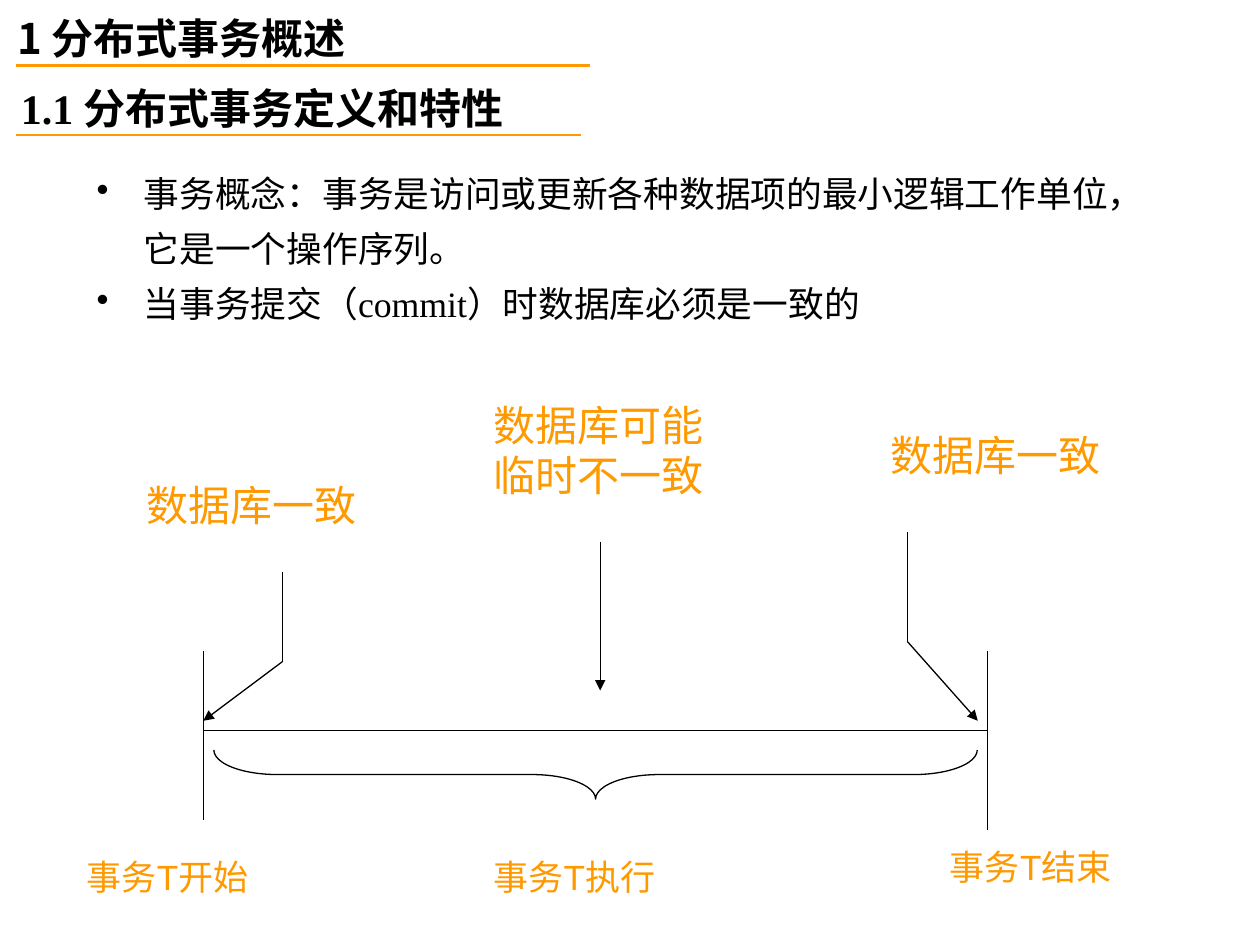
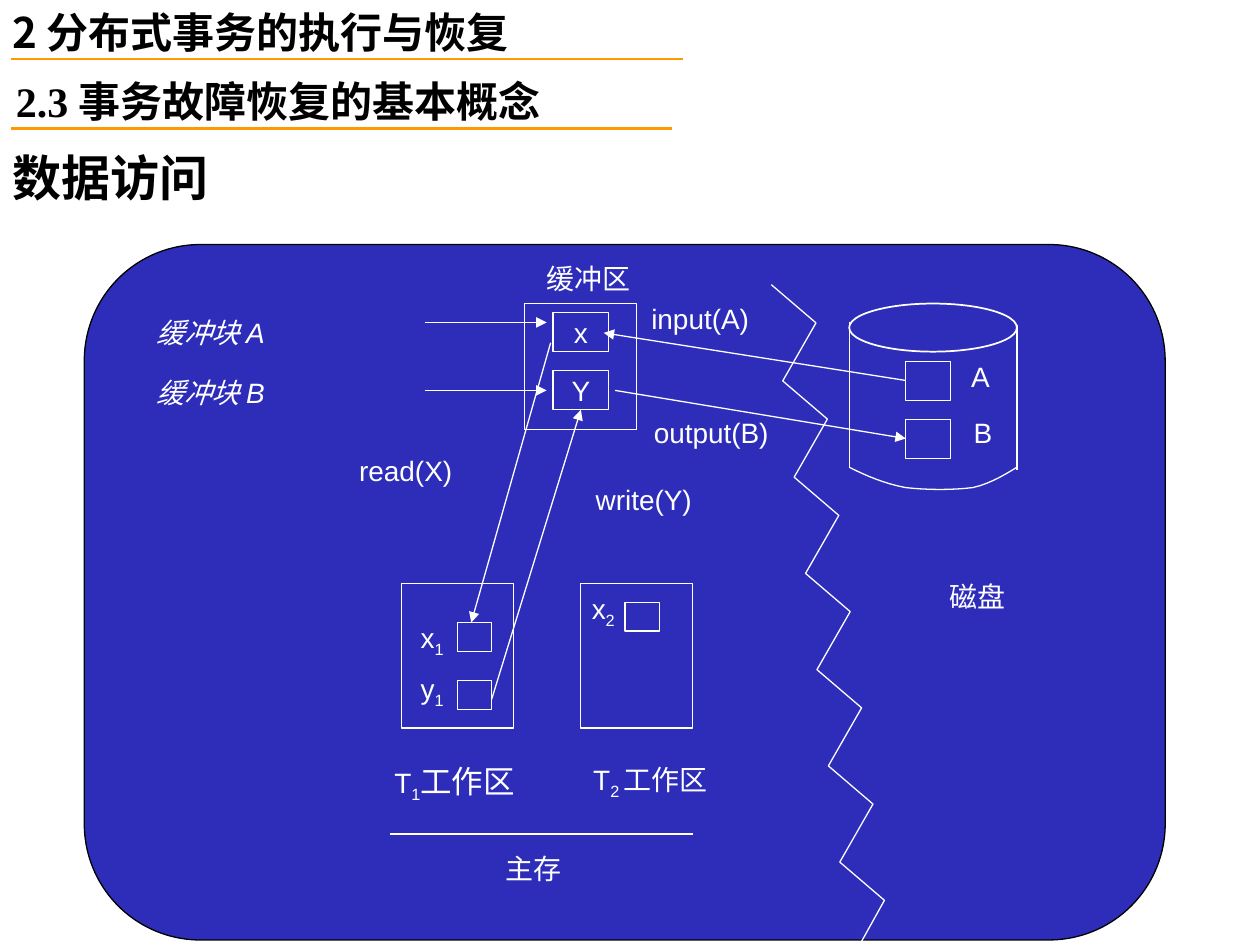
from lxml.etree import SubElement
from pptx import Presentation
from pptx.dml.color import RGBColor
from pptx.enum.shapes import MSO_CONNECTOR, MSO_SHAPE
from pptx.enum.text import MSO_ANCHOR, PP_ALIGN
from pptx.oxml.ns import qn
from pptx.util import Cm, Pt

BLACK = RGBColor(0x00, 0x00, 0x00)
WHITE = RGBColor(0xFF, 0xFF, 0xFF)
ORANGE = RGBColor(0xFF, 0x99, 0x00)
BLUE = RGBColor(0x2D, 0x2D, 0xB9)
ARIAL, TIMES, NOTO = "Arial", "Times New Roman", "Noto Sans CJK SC"
TITLE_ONLY = 5


def add_run(p, text, font=ARIAL, size=16, color=BLACK, bold=False, italic=False, sub=False):
    r = p.add_run()
    r.text = text
    f = r.font
    f.name, f.size, f.bold, f.italic = font, Pt(size), bold, italic
    f.color.rgb = color
    rPr = r._r.get_or_add_rPr()
    SubElement(rPr, qn("a:ea"), typeface=NOTO)
    if sub:
        rPr.set("baseline", "-25000")


def curve(p0, p1, p2, p3, steps=8):
    """Points along a cubic curve, without its start."""
    points = []
    for i in range(1, steps + 1):
        t = i / steps
        u = 1 - t
        points.append(tuple(u**3 * a + 3 * u * u * t * b + 3 * u * t * t * c + t**3 * d
                            for a, b, c, d in zip(p0, p1, p2, p3)))
    return points


class Deck:
    def __init__(self):
        self.prs = Presentation()
        self.prs.slide_width, self.prs.slide_height = Cm(25.4), Cm(19.05)
        self.ink = BLACK

    def new_slide(self):
        self.s = self.prs.slides.add_slide(self.prs.slide_layouts[TITLE_ONLY])

    def box(self, left, top, width, height, title=False, anchor=MSO_ANCHOR.TOP):
        """Text frame of the title placeholder or of a new text box."""
        place = Cm(left), Cm(top), Cm(width), Cm(height)
        if title:
            sp = self.s.shapes.title
            sp.left, sp.top, sp.width, sp.height = place
        else:
            sp = self.s.shapes.add_textbox(*place)
        tf = sp.text_frame
        tf.word_wrap, tf.vertical_anchor = True, anchor
        tf.margin_left = tf.margin_right = Cm(0.25)
        tf.margin_top = tf.margin_bottom = Cm(0.13)
        return tf

    def text(self, left, top, width, height, *pieces, title=False,
             anchor=MSO_ANCHOR.TOP, size=16, **style):
        """One paragraph; a piece is a string or a (string, format) pair."""
        p = self.box(left, top, width, height, title, anchor).paragraphs[0]
        p.alignment, p.line_spacing = PP_ALIGN.LEFT, Pt(1.2 * size)
        for piece in pieces:
            words, extra = (piece, {}) if isinstance(piece, str) else piece
            add_run(p, words, **{"size": size, "color": self.ink, **style, **extra})

    def label(self, left, top, width, *pieces, **style):
        self.text(left, top, width, 0.94, *pieces, **style)

    def bullets(self, left, top, width, height, items, size, pitch):
        tf = self.box(left, top, width, height)
        for i, item in enumerate(items):
            p = tf.add_paragraph() if i else tf.paragraphs[0]
            p.line_spacing = Pt(pitch)
            pPr = p._p.get_or_add_pPr()
            pPr.set("marL", str(Cm(0.95)))
            pPr.set("indent", str(-Cm(0.95)))
            SubElement(pPr, qn("a:buChar"), char="•")
            add_run(p, item, font=TIMES, size=size)

    def line(self, x1, y1, x2, y2, arrow=False, color=None, weight=0.75):
        c = self.s.shapes.add_connector(MSO_CONNECTOR.STRAIGHT, Cm(x1), Cm(y1), Cm(x2), Cm(y2))
        c.line.color.rgb, c.line.width = color or self.ink, Pt(weight)
        if arrow:
            SubElement(c.line._get_or_add_ln(), qn("a:tailEnd"), type="triangle")
        SubElement(c._element.spPr, qn("a:effectLst"))

    def outline(self, sp, fill=None, color=None, weight=0.75):
        sp.shadow.inherit = False
        if fill is None:
            sp.fill.background()
        else:
            sp.fill.solid()
            sp.fill.fore_color.rgb = fill
        sp.line.color.rgb, sp.line.width = color or self.ink, Pt(weight)
        return sp

    def shape(self, kind, left, top, width, height, **style):
        sp = self.s.shapes.add_shape(kind, Cm(left), Cm(top), Cm(width), Cm(height))
        return self.outline(sp, **style)

    def rect(self, left, top, width, height, text=""):
        sp = self.shape(MSO_SHAPE.RECTANGLE, left, top, width, height)
        if text:
            tf = sp.text_frame
            tf.word_wrap, tf.vertical_anchor = False, MSO_ANCHOR.MIDDLE
            tf.paragraphs[0].alignment = PP_ALIGN.CENTER
            add_run(tf.paragraphs[0], text, color=self.ink)

    def polyline(self, points):
        points = [(Cm(x), Cm(y)) for x, y in points]
        fb = self.s.shapes.build_freeform(*points[0])
        fb.add_line_segments(points[1:], close=False)
        self.outline(fb.convert_to_shape())

    def headings(self, x, y, width, chapter, number, section, ends, title=False):
        """Chapter and section heading, each over an orange rule."""
        self.text(x, y, width, 1.27, chapter, title=title, font=NOTO, size=24, bold=True)
        self.text(x + 0.07, y + 1.4, width, 1.27, (number + " ", {"font": TIMES}), section,
                  font=NOTO, size=24, bold=True)
        for rule_y, end in zip((y + 1.19, y + 2.59), ends):
            self.line(x + 0.22, rule_y, end, rule_y, color=ORANGE, weight=1.5)


def transaction_slide(d):
    d.new_slide()
    d.ink = BLACK
    d.headings(0.1, 0.13, 12.7, "1 分布式事务概述", "1.1", "分布式事务定义和特性",
               (11.89, 11.71), title=True)
    d.bullets(1.7, 3.1, 21.5, 4.27, (
        "事务概念：事务是访问或更新各种数据项的最小逻辑工作单位，它是一个操作序列。",
        "当事务提交（commit）时数据库必须是一致的"), size=20.4, pitch=31.4)

    # Time line with start, end and brace
    start, end, axis = 4.1, 19.91, 14.73
    d.line(start, axis, end, axis)
    d.line(start, 13.13, start, 16.54)
    d.line(end, 13.13, end, 16.74)
    brace = d.shape(MSO_SHAPE.RIGHT_BRACE, 11.51, 7.92, 0.99, 15.39)
    brace.rotation = 90
    brace.adjustments[0] = 1.29

    # Pointers to the states
    d.line(5.69, 11.53, 5.69, 13.34)
    d.line(5.69, 13.34, start, 14.53, arrow=True)
    d.line(18.29, 10.72, 18.29, 12.93)
    d.line(18.29, 12.93, 19.71, 14.53, arrow=True)
    d.line(12.1, 10.92, 12.1, 13.92, arrow=True)

    # Labels
    for left, top, width, words, size in (
            (2.7, 9.53, 5.0, "数据库一致", 24),
            (9.7, 7.92, 4.8, "数据库可能临时不一致", 24),
            (17.7, 8.53, 4.8, "数据库一致", 24),
            (1.5, 17.12, 4.8, "事务T开始", 20),
            (9.7, 17.12, 5.21, "事务T执行", 20),
            (18.9, 16.92, 4.39, "事务T结束", 20)):
        d.text(left, top, width, 1.2, words, size=size, color=ORANGE)


def data_access_slide(d):
    d.new_slide()
    d.ink = BLACK
    d.headings(0, 0, 14.83, "2 分布式事务的执行与恢复", "2.3", "事务故障恢复的基本概念",
               (13.77, 13.54))
    d.text(0, 2.51, 19.99, 2.11, "数据访问", title=True, anchor=MSO_ANCHOR.MIDDLE,
           font=TIMES, size=28, bold=True)
    panel = d.shape(MSO_SHAPE.ROUNDED_RECTANGLE, 1.7, 4.93, 21.79, 14.02, fill=BLUE)
    panel.adjustments[0] = 0.167
    d.ink = WHITE

    # Buffer
    d.rect(10.57, 6.12, 2.26, 2.54)
    d.rect(11.15, 6.3, 1.12, 0.79, "x")
    d.rect(11.15, 7.47, 1.12, 0.79, "Y")

    # Disk
    left, right, bottom = 17.12, 20.5, 9.42
    d.shape(MSO_SHAPE.OVAL, left, 6.12, right - left, 0.97, weight=1)
    d.line(left, 6.5, left, bottom)
    d.line(right, 6.55, right, bottom + 0.05)
    a, b, c, e = (left, bottom), (18.26, 9.83), (19.61, 9.83), (right, bottom)
    d.polyline([a, *curve(a, (17.48, 9.6), (17.83, 9.75), b),
                *curve(b, (18.67, 9.88), (19.23, 9.88), c),
                *curve(c, (19.99, 9.75), (20.37, 9.5), e)])
    for top in (7.29, 8.46):
        d.rect(18.26, top, 0.91, 0.79)

    # Work areas
    for x in (8.1, 11.7):
        d.rect(x, 11.76, 2.26, 2.92)
    for x, y in ((12.6, 12.14), (9.22, 12.55), (9.22, 13.72)):
        d.rect(x, y, 0.69, 0.58)
    d.line(7.87, 16.81, 13.97, 16.81)

    # Data flow
    for ends in ((8.56, 6.5, 11.02, 6.5), (8.56, 7.87, 11.02, 7.87),
                 (18.26, 7.67, 12.17, 6.71), (12.4, 7.87, 18.26, 8.84),
                 (11.1, 6.91, 9.5, 12.55), (9.91, 14.1, 11.71, 8.26)):
        d.line(*ends, arrow=True)

    # Jagged border between memory and disk
    border = []
    for i in range(7):
        x, y = 15.55 + 0.23 * i, 5.74 + 1.94 * i
        border += [(x, y), (x + 0.9, y + 0.77)]
    d.polyline(border + [(17.33, 19.05)])

    # Labels, each wide enough for one line
    for x, y, width, words in (
            (10.77, 5.15, 3.2, "缓冲区"), (19.33, 7.11, 1.5, "A"), (19.38, 8.25, 1.5, "B"),
            (12.88, 5.94, 3.5, "input(A)"), (12.93, 8.25, 4.0, "output(B)"),
            (6.99, 9.02, 3.4, "read(X)"), (11.76, 9.6, 3.4, "write(Y)"),
            (18.9, 11.56, 2.6, "磁盘"), (9.94, 17.04, 2.6, "主存")):
        d.label(x, y, width, words)
    for y, block in ((6.23, "A"), (7.45, "B")):
        d.label(2.9, y, 4.5, "缓冲块 " + block, italic=True)
    sub = {"sub": True}
    for x, y, name, index in ((8.23, 12.47, "x", "1"), (8.23, 13.5, "y", "1"),
                              (11.68, 11.89, "x", "2")):
        d.label(x, y, 1.8, name, (index, sub))
    d.text(7.7, 15.4, 4.0, 1.09, "T", ("1", sub), ("工作区", {"size": 18}))
    d.label(11.71, 15.33, 4.2, "T", ("2 ", sub), "工作区")


def main():
    d = Deck()
    transaction_slide(d)
    data_access_slide(d)
    d.prs.save("out.pptx")


if __name__ == "__main__":
    main()
